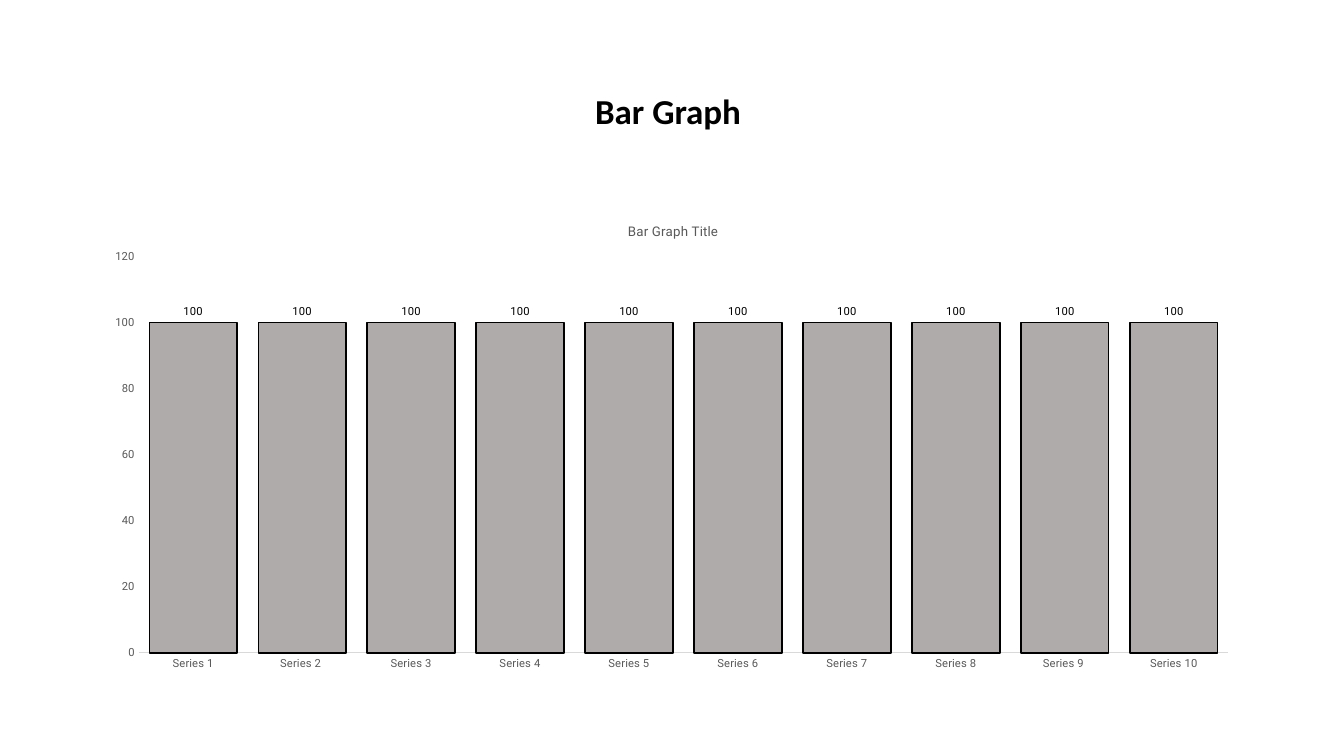
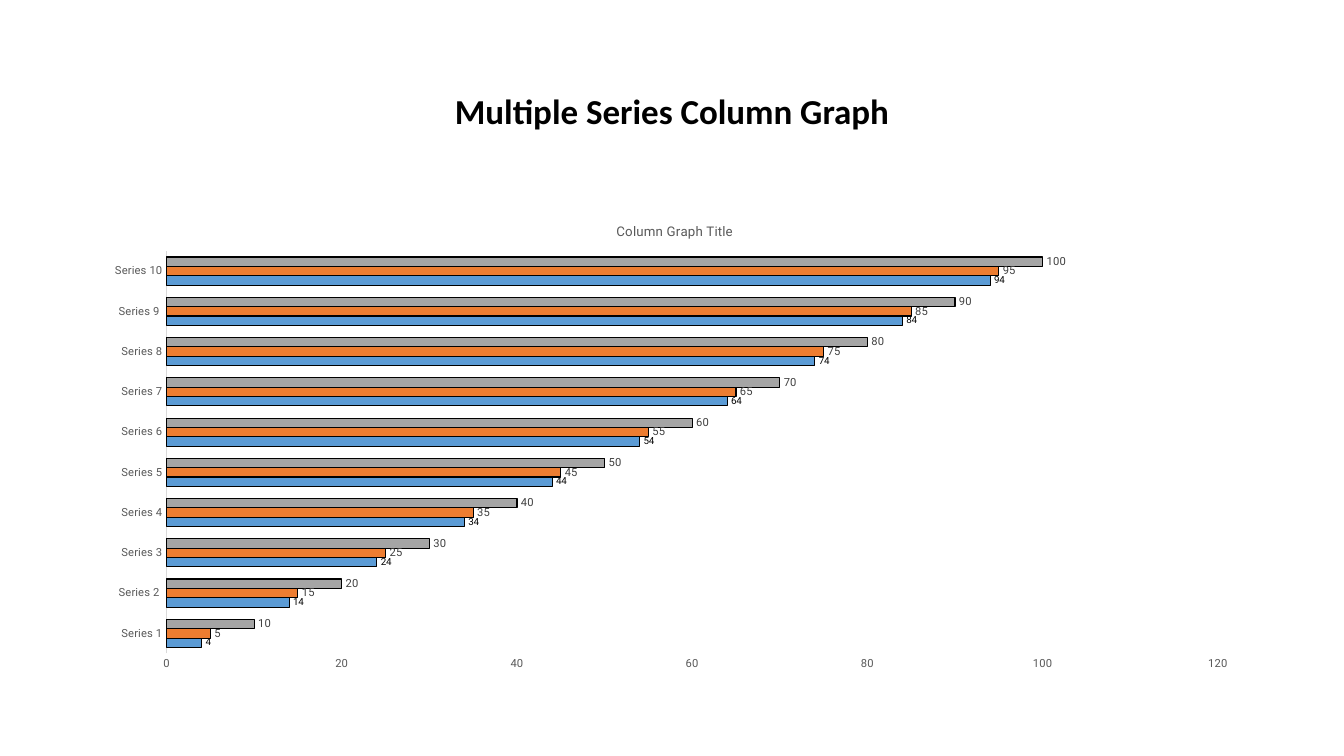
from dataclasses import dataclass

from lxml import etree
from pptx import Presentation
from pptx import util as u
from pptx.chart.data import CategoryChartData
from pptx.dml.color import RGBColor
from pptx.enum import chart as ce
from pptx.enum import text as te
from pptx.oxml.ns import qn


# Shared look: colours, fonts and type sizes
@dataclass(frozen=True)
class Theme:
    ink: str = "000000"
    axis_text: str = "595959"
    axis_line: str = "D9D9D9"
    label_grey: str = "404040"
    warm_grey: str = "AFABAB"
    blue: str = "5B9BD5"
    orange: str = "ED7D31"
    grey: str = "A5A5A5"
    title_font: str = "Calibri"
    chart_font: str = "Roboto"
    title_size: float = 25
    chart_title_size: float = 9.5
    chart_size: float = 8
    small_size: float = 7


@dataclass(frozen=True)
class Bars:
    name: str
    values: tuple
    color: str
    label_size: float = Theme.chart_size
    label_color: str = Theme.label_grey


THEME = Theme()
TITLE_BOX = (88, 38, 1104, 139)
CHART_BOX = (88, 192, 1104, 457)
CATEGORIES = ["Series 1", "Series 2 ", "Series 3", "Series 4", "Series 5",
              "Series 6", "Series 7", "Series 8", "Series 9 ", "Series 10"]


def px(length):
    return u.Emu(length * 9525)


def style_font(font, size, color, name=THEME.chart_font, bold=False):
    font.name = name
    font.size = u.Pt(size)
    font.bold = bold
    font.color.rgb = RGBColor.from_string(color)


def style_line(line, color, width):
    line.color.rgb = RGBColor.from_string(color)
    line.width = u.Pt(width)


# Slide title
def add_title(slide, wording):
    title = slide.shapes.title
    title.left, title.top, title.width, title.height = map(px, TITLE_BOX)
    title.text_frame.text = wording
    title.text_frame.vertical_anchor = te.MSO_ANCHOR.MIDDLE
    paragraph = title.text_frame.paragraphs[0]
    paragraph.alignment = te.PP_ALIGN.CENTER
    paragraph.line_spacing = 0.9
    style_font(paragraph.runs[0].font, THEME.title_size, THEME.ink,
               THEME.title_font, bold=True)


# Fixed position of a chart part, in fractions of the chart
def place(parent, after, **fractions):
    for old in parent.findall(qn("c:layout")):
        parent.remove(old)
    layout = etree.Element(qn("c:layout"))
    manual = etree.SubElement(layout, qn("c:manualLayout"))
    settings = {"xMode": "edge", "yMode": "edge", **fractions}
    if "w" in fractions:
        settings = {"layoutTarget": "inner", **settings}
    for key, value in settings.items():
        etree.SubElement(manual, qn("c:" + key)).set("val", str(value))
    if after is None:
        parent.insert(0, layout)
    else:
        after.addnext(layout)


def add_chart_title(chart, wording, left):
    frame = chart.chart_title.text_frame
    frame.text = wording
    style_font(frame.paragraphs[0].runs[0].font, THEME.chart_title_size,
               THEME.axis_text)
    title = chart._chartSpace.chart.find(qn("c:title"))
    place(title, title.find(qn("c:tx")), x=left, y=0.038)


def style_axes(chart):
    for axis in (chart.category_axis, chart.value_axis):
        axis.has_major_gridlines = False
        axis.major_tick_mark = axis.minor_tick_mark = ce.XL_TICK_MARK.NONE
        style_font(axis.tick_labels.font, THEME.chart_size, THEME.axis_text)
    style_line(chart.category_axis.format.line, THEME.axis_line, 0.75)
    scale = chart.value_axis
    scale.minimum_scale, scale.maximum_scale, scale.major_unit = 0, 120, 20
    scale.tick_labels.number_format = "#,##0"
    scale.tick_labels.number_format_is_linked = False
    scale.format.line.fill.background()


def style_bars(series, bars, outline):
    series.format.fill.solid()
    series.format.fill.fore_color.rgb = RGBColor.from_string(bars.color)
    style_line(series.format.line, THEME.ink, outline)
    labels = series.data_labels
    labels.show_value = True
    labels.position = ce.XL_LABEL_POSITION.OUTSIDE_END
    labels.number_format = "#,##0"
    labels.number_format_is_linked = False
    style_font(labels.font, bars.label_size, bars.label_color)


# Chart of one or more series
def add_bar_chart(slide, kind, wording, title_left, all_bars, gap, overlap,
                  outline, plot_area):
    data = CategoryChartData(number_format="#,##0")
    data.categories = CATEGORIES
    for bars in all_bars:
        data.add_series(bars.name, bars.values)
    chart = slide.shapes.add_chart(kind, *map(px, CHART_BOX), data).chart
    style_font(chart.font, THEME.chart_size, THEME.ink)
    chart.has_legend = False
    add_chart_title(chart, wording, title_left)
    style_axes(chart)
    plot = chart.plots[0]
    plot.vary_by_categories = False
    plot.gap_width, plot.overlap = gap, overlap
    for series, bars in zip(plot.series, all_bars):
        style_bars(series, bars, outline)
    place(chart._chartSpace.chart.plotArea, None, **plot_area)


def main():
    deck = Presentation()
    deck.slide_width, deck.slide_height = px(1280), px(720)
    title_only = deck.slide_layouts[5]

    # Slide 1: single series of columns
    slide = deck.slides.add_slide(title_only)
    add_title(slide, "Bar Graph ")
    add_bar_chart(
        slide, ce.XL_CHART_TYPE.COLUMN_CLUSTERED, "Bar Graph Title", 0.46,
        [Bars("Series 1", (100,) * 10, THEME.warm_grey,
              label_color=THEME.ink)],
        gap=24, overlap=-27, outline=1,
        plot_area=dict(x=0.04, y=0.115, w=0.94, h=0.826))

    # Slide 2: three series of horizontal bars
    slide = deck.slides.add_slide(title_only)
    add_title(slide, "Multiple Series Column Graph")
    add_bar_chart(
        slide, ce.XL_CHART_TYPE.BAR_CLUSTERED, "Column Graph Title", 0.45,
        [Bars("Series 1", tuple(range(4, 95, 10)), THEME.blue,
              THEME.small_size, THEME.ink),
         Bars("Series 2", tuple(range(5, 96, 10)), THEME.orange),
         Bars("Series 3", tuple(range(10, 101, 10)), THEME.grey)],
        gap=129, overlap=0, outline=0.75,
        plot_area=dict(x=0.064, y=0.103, w=0.907, h=0.839))

    deck.save("out.pptx")


if __name__ == "__main__":
    main()
